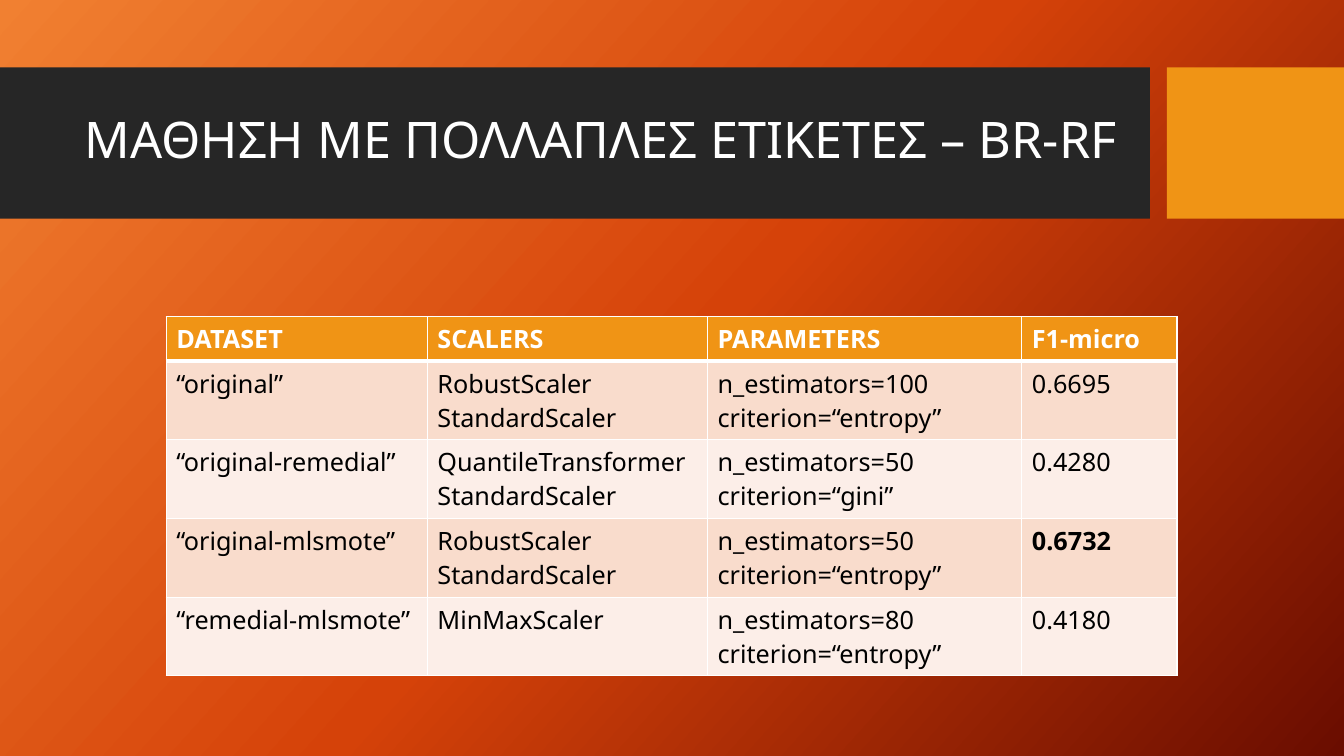
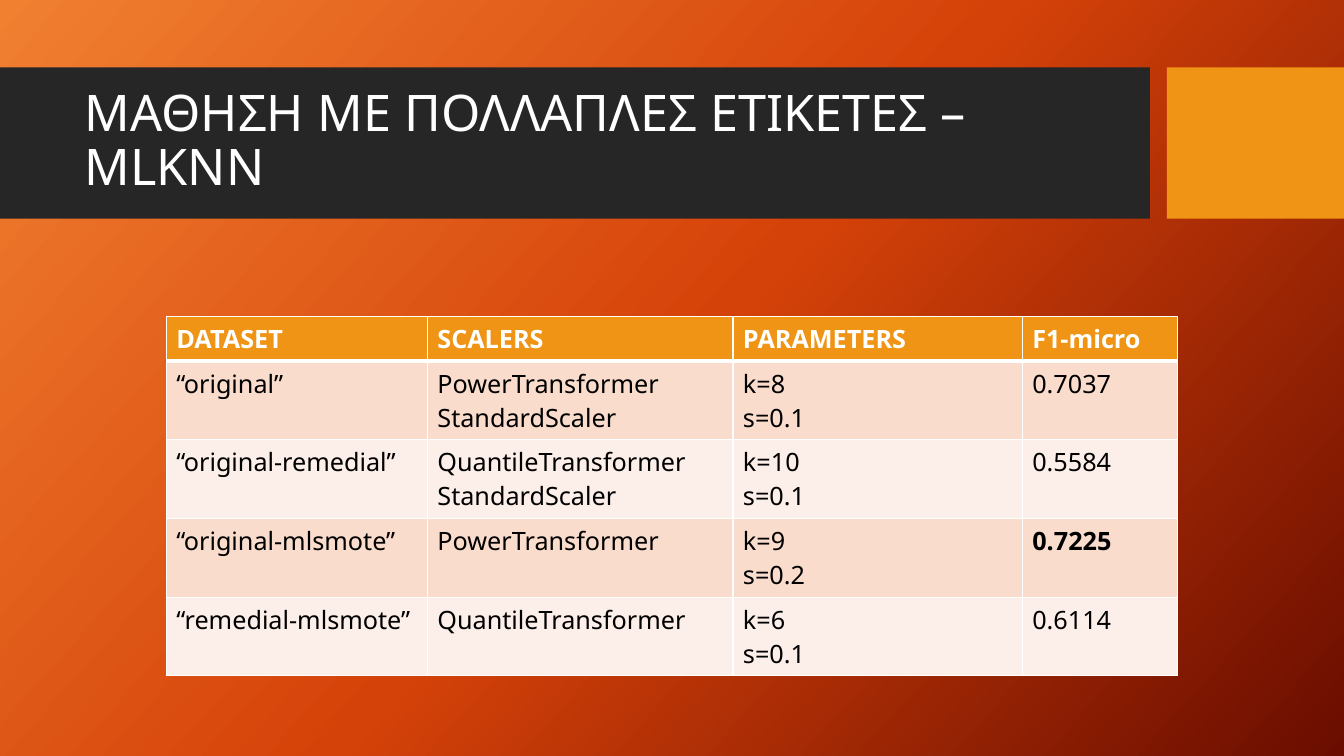
from copy import deepcopy

from pptx import Presentation
from pptx.dml.color import RGBColor
from pptx.enum.shapes import MSO_SHAPE
from pptx.enum.text import MSO_ANCHOR, MSO_AUTO_SIZE, PP_ALIGN
from pptx.oxml import parse_xml
from pptx.oxml.ns import nsdecls, qn
from pptx.util import Cm, Pt

FONT = "Noto Sans"
WHITE, BLACK, CHARCOAL, ORANGE = "FFFFFF", "000000", "262626", "F09415"
ROW_TINTS = ["FCEEE8", "F9DCCC"]
GLOW = [(0, "F18031"), (0.5, "D54209"), (1, "6A0D00")]
BANDS = [(0, 28.98, CHARCOAL), (29.41, 4.46, ORANGE)]
HEADINGS = ["DATASET", "SCALERS", "PARAMETERS", "F1-micro"]
DATASETS = ["“original”", "“original-remedial”", "“original-mlsmote”", "“remedial-mlsmote”"]
BEST = "“original-mlsmote”"

# Per slide: classifier, column widths, then scalers, parameters and score per dataset
RESULTS = [
    ("BR-RF", [6.58, 7.06, 7.92, 3.91], [
        ("RobustScaler\nStandardScaler", "n_estimators=100\ncriterion=“entropy”", "0.6695"),
        ("QuantileTransformer\nStandardScaler", "n_estimators=50\ncriterion=“gini”", "0.4280"),
        ("RobustScaler\nStandardScaler", "n_estimators=50\ncriterion=“entropy”", "0.6732"),
        ("MinMaxScaler", "n_estimators=80\ncriterion=“entropy”", "0.4180"),
    ]),
    ("MLKNN", [6.58, 7.7, 7.29, 3.91], [
        ("PowerTransformer\nStandardScaler", "k=8\ns=0.1", "0.7037"),
        ("QuantileTransformer\nStandardScaler", "k=10\ns=0.1", "0.5584"),
        ("PowerTransformer", "k=9\ns=0.2", "0.7225"),
        ("QuantileTransformer", "k=6\ns=0.1", "0.6114"),
    ]),
]


def rgb(code):
    return RGBColor.from_string(code)


def style(frame, size, color, bold=False):
    for paragraph in frame.paragraphs:
        for run in paragraph.runs:
            run.font.name = FONT
            run.font.size = Pt(size)
            run.font.bold = bold
            run.font.color.rgb = rgb(color)


prs = Presentation()
prs.slide_width, prs.slide_height = Cm(33.87), Cm(19.05)
title_only = prs.slide_layouts[5]

# Shared gradient background
backdrop = prs.slide_master.background.fill
backdrop.gradient()
backdrop.gradient_angle = 318
stop_list = next(prs.slide_master.element.iter(qn("a:gsLst")))
stop_list.append(deepcopy(stop_list[0]))
for stop, (position, color) in zip(backdrop.gradient_stops, GLOW):
    stop.position = position
    stop.color.rgb = rgb(color)

slides = [prs.slides.add_slide(title_only) for _ in RESULTS]

# Shared title bands, moved to the layout so that they lie behind every title
for left, width, color in BANDS:
    band = slides[0].shapes.add_shape(MSO_SHAPE.RECTANGLE, Cm(left), Cm(1.7), Cm(width), Cm(3.81))
    band.shadow.inherit = False
    band.fill.solid()
    band.fill.fore_color.rgb = rgb(color)
    band.line.fill.background()
    title_only.shapes.element.append(band.element)

for slide, (classifier, widths, outcomes) in zip(slides, RESULTS):
    # Title
    title = slide.shapes.title
    title.left, title.top, title.width, title.height = Cm(1.88), Cm(2.08), Cm(26.7), Cm(3)
    heading = title.text_frame
    heading.text = f"ΜΑΘΗΣΗ ΜΕ ΠΟΛΛΑΠΛΕΣ ΕΤΙΚΕΤΕΣ – {classifier}"
    heading.word_wrap = True
    heading.auto_size = MSO_AUTO_SIZE.NONE
    heading.vertical_anchor = MSO_ANCHOR.MIDDLE
    heading.paragraphs[0].alignment = PP_ALIGN.LEFT
    heading.paragraphs[0].line_spacing = 0.9
    style(heading, 36, WHITE)

    # Results table
    rows = [HEADINGS] + [(name, *outcome) for name, outcome in zip(DATASETS, outcomes)]
    scores = slide.shapes.add_table(len(rows), len(HEADINGS), Cm(4.19), Cm(7.98),
                                    Cm(sum(widths)), Cm(8.15)).table
    for column, width in zip(scores.columns, widths):
        column.width = Cm(width)
    for r, row in enumerate(rows):
        is_header = r == 0
        scores.rows[r].height = Cm(1.04 if is_header else 1.78)
        for c, text in enumerate(row):
            cell = scores.cell(r, c)
            cell.text_frame.text = text
            is_best = row[0] == BEST and c == len(HEADINGS) - 1
            style(cell.text_frame, 18, WHITE if is_header else BLACK, is_header or is_best)

            # White grid with a heavier rule below the header
            for side in "LRTB":
                heavy = (r, side) in [(0, "B"), (1, "T")]
                cell._tc.get_or_add_tcPr().append(parse_xml(
                    f'<a:ln{side} {nsdecls("a")} w="{Pt(3 if heavy else 1)}"><a:solidFill>'
                    f'<a:srgbClr val="{WHITE}"/></a:solidFill></a:ln{side}>'))
            cell.fill.solid()
            cell.fill.fore_color.rgb = rgb(ORANGE if is_header else ROW_TINTS[r % 2])

prs.save("out.pptx")
